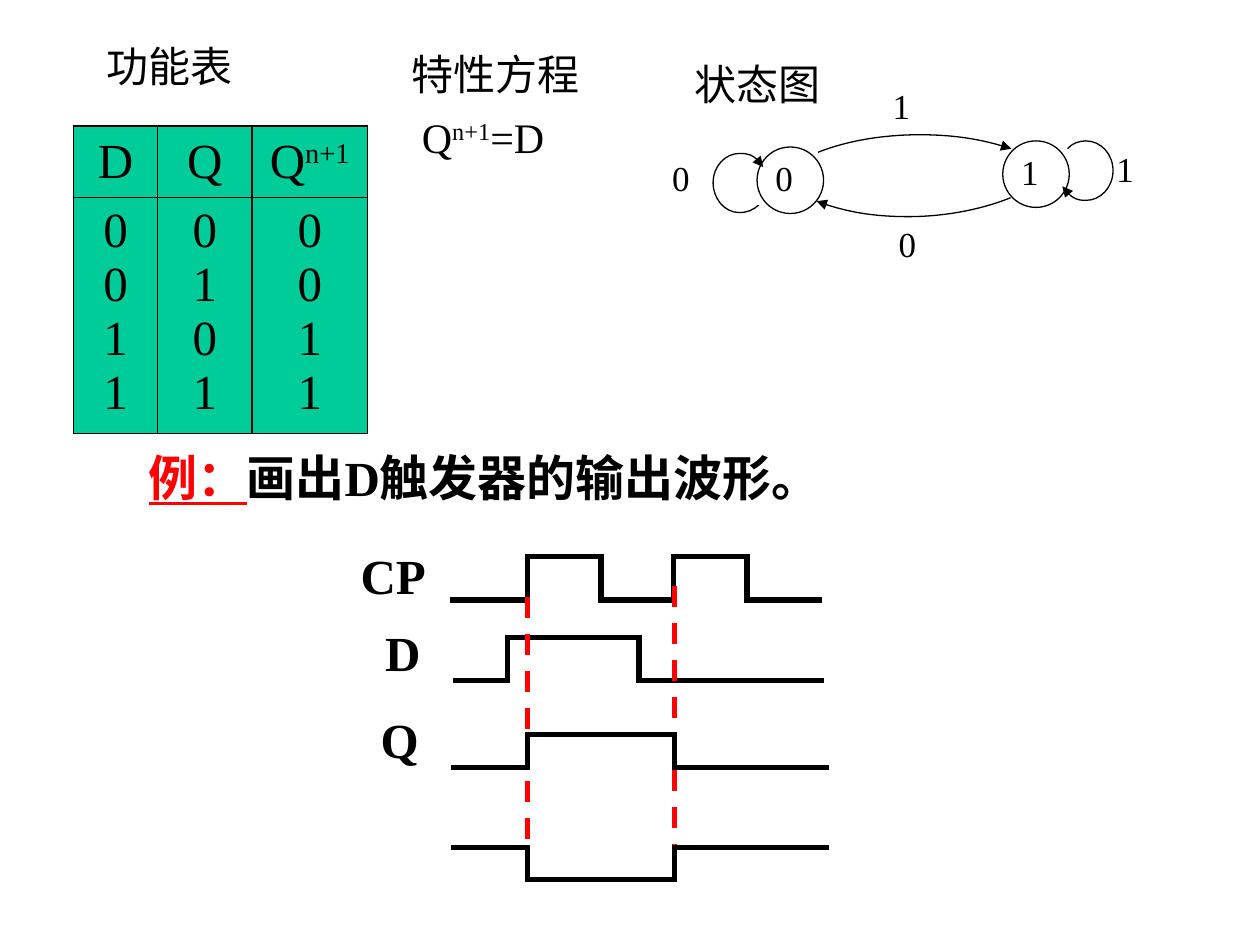
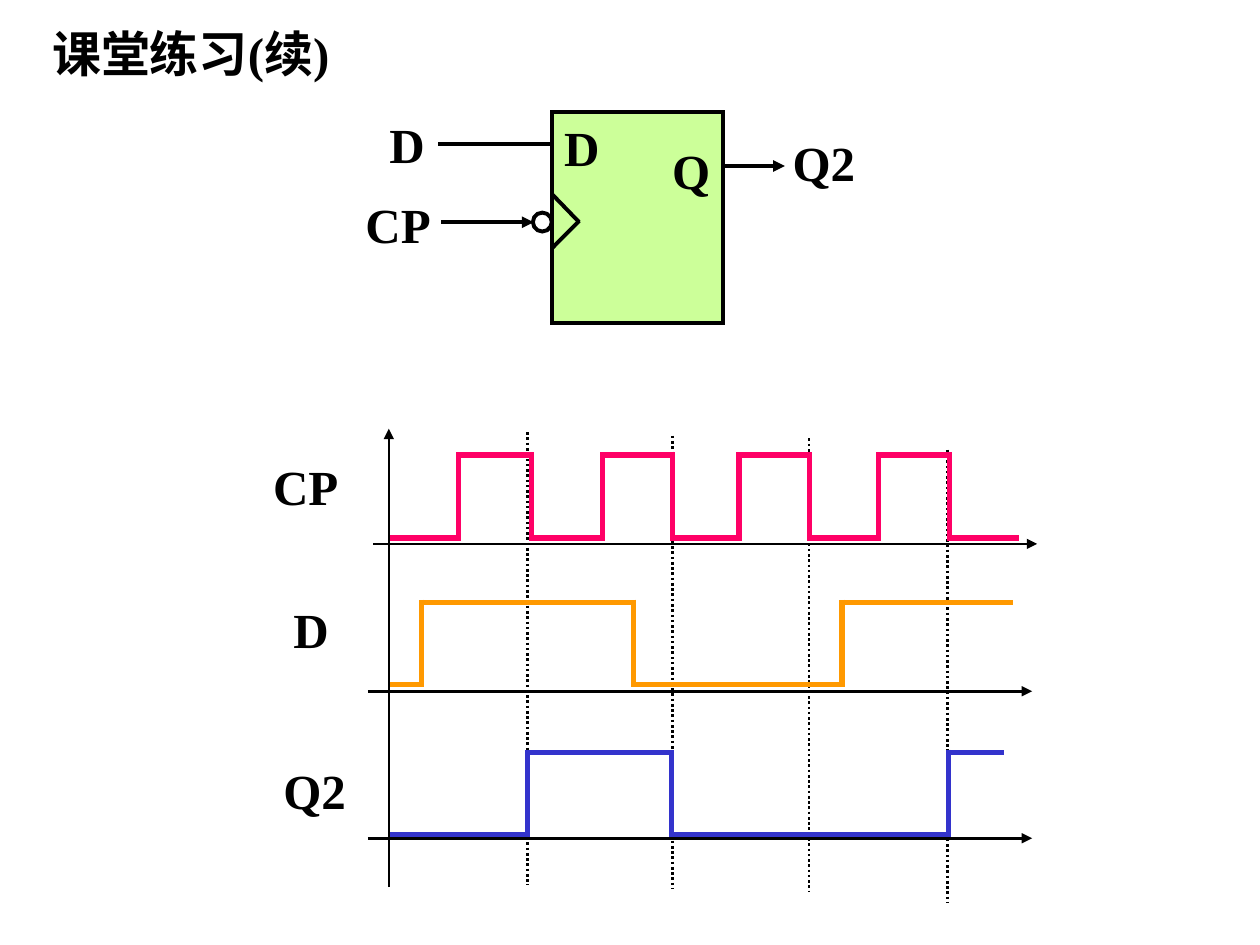
"""Builds two slides on the D flip-flop: its function and its waveforms."""
from dataclasses import dataclass

from lxml import etree
from pptx import Presentation
from pptx.dml.color import RGBColor
from pptx.enum.dml import MSO_LINE
from pptx.enum.shapes import MSO_CONNECTOR, MSO_SHAPE
from pptx.enum.text import MSO_ANCHOR, PP_ALIGN
from pptx.oxml.ns import qn
from pptx.util import Pt

STRAIGHT = MSO_CONNECTOR.STRAIGHT
RECT, OVAL = MSO_SHAPE.RECTANGLE, MSO_SHAPE.OVAL
DASH, DOT = MSO_LINE.DASH, MSO_LINE.ROUND_DOT
CENTER, LEFT = PP_ALIGN.CENTER, PP_ALIGN.LEFT
TOP, MIDDLE = MSO_ANCHOR.TOP, MSO_ANCHOR.MIDDLE


@dataclass(frozen=True)
class Theme:
    font: str = "Times New Roman"
    black: str = "000000"
    white: str = "FFFFFF"
    red: str = "FF0000"
    teal: str = "00CC99"
    lime: str = "CCFF99"
    pink: str = "FF0066"
    orange: str = "FF9900"
    blue: str = "3333CC"
    big: int = 28
    medium: int = 24
    small: int = 20
    wave: float = 3
    block: float = 2.25
    axis: float = 1.5
    border: float = 1
    thin: float = 0.75


T = Theme()

HEADINGS = [
    (54, 19.5, 114, [("功能表", {})]),
    (228, 24, 162, [("特性方程", {})]),
    (234, 60, 126, [("Q", {}), ("n+1", {"sup": True}), ("=D", {})]),
    (390, 30, 156, [("状态图", {})]),
]
EXAMPLE = [("例：", {"color": T.red, "underline": True}),
           ("画出D触发器的输出波形。", {})]

TABLE_AT = (42, 72)
COLUMN_WIDTHS = [48, 54, 66]
ROW_HEIGHTS = [41, 134.7]
TABLE_HEAD = [[("D", {})], [("Q", {})], [("Q", {}), ("n+1", {"sup": True})]]
TABLE_COLUMNS = ["0011", "0101", "0011"]

STATES = [("0", 432.6, 84), ("1", 573, 80.5)]
STATE_SIZE = 38
STATE_LABELS = [("1", (638, 84, 16.5, 29)), ("0", (384, 89.5, 18, 26.5)),
                ("0", (513.5, 127.3, 21.5, 25)), ("1", (510, 48, 24, 23))]
TRANSITIONS = [
    [(577.5, 113), (561.5, 119.5), (540.5, 123.8), (519, 123.8),
     (500.5, 123.8), (482.5, 121), (466.6, 115)],
    [(467.5, 87), (484, 80.5), (504.5, 77), (525.5, 77),
     (544.5, 77), (563, 80), (578, 85)],
    [(610, 85), (612.5, 82), (616.5, 80.5), (620.5, 80.5),
     (629, 80.5), (636, 88), (636, 97.5), (636, 107), (629, 114.5),
     (620.5, 114.5), (615, 114.5), (610, 111.5), (607, 106.5)],
    [(433.5, 117.3), (430.5, 120), (427, 121.5), (422.5, 121.5),
     (414, 121.5), (407.5, 113.5), (407.5, 104.5), (407.5, 95),
     (414.5, 87.7), (422.5, 87.7), (428.5, 87.7), (433.5, 90.5), (436.2, 95.5)],
]

EXAMPLE_LABELS = [("CP", 199, 308, 58), ("D", 213, 352, 40), ("Q", 210.4, 402, 44)]
EXAMPLE_INPUTS = [
    ([257, 301.5, 343.5, 385, 426.8, 469.5], 342.8, 318.2),
    ([258.8, 290, 365.2, 471], 389, 364.5),
]
EXAMPLE_OUTPUTS = [
    ([258, 301.6, 385.5, 474], 438.5, 419.7),
    ([258, 301.6, 385.5, 474], 484.2, 502.6),
]
CLOCK_EDGES = [(301.6, 341.3, 499.5), (385.5, 335, 494)]

PRACTICE_TITLE = "课堂练习(续)"
BLOCK = (315.4, 64, 97.9, 120.4)
BUBBLE = (304.5, 121.5, 10.8, 10.8)
PINS = [
    ((250.5, 82.2), (315.5, 82.2), False),
    ((252, 127), (305, 127), True),
    ((413.5, 94.9), (448.5, 94.9), True),
    ((315.5, 111), (331, 127), False),
    ((331, 126.2), (315.5, 141.8), False),
]
PRACTICE_LABELS = [
    ("Q2", 445.8, 72, 57), ("D", 315.3, 63.5, 40), ("Q", 377, 77, 40),
    ("D", 215.4, 62.2, 41), ("CP", 201.8, 107.7, 56),
    ("CP", 149, 257.2, 56), ("D", 160.5, 339, 48), ("Q2", 154.8, 431, 54),
]
SAMPLE_TIMES = [(301.5, 247), (384.2, 249), (462.3, 250.5), (541.5, 257)]
SAMPLE_HEIGHT = 259
TIME_AXES = [(213.2, 310.8), (210.3, 395), (210.3, 479)]
AXIS_LENGTH = 379.5
LEVEL_AXIS = ((222.2, 507), (222.2, 245))
PRACTICE_WAVES = [
    ([223, 262, 303.6, 344.4, 384.2, 422.3, 462.7, 502.2, 542.5, 582.5],
     307.5, 260, T.pink),
    ([223, 240.8, 362.2, 481.2, 579], 391.2, 344.2, T.orange),
    ([223, 301.5, 383.8, 542, 574], 476.8, 430, T.blue),
]


def rgb(value):
    return RGBColor.from_string(value)


def add_runs(p, runs, size, bold=False):
    for words, style in runs:
        r = p.add_run()
        r.text = words
        r.font.name = T.font
        r.font.size = Pt(size)
        r.font.bold = bold
        r.font.underline = style.get("underline", False)
        r.font.color.rgb = rgb(style.get("color", T.black))
        if style.get("sup"):
            r.font._element.set("baseline", "30000")


def fill_frame(tf, runs, size, bold=False, align=LEFT, anchor=TOP, margins=(7.2, 3.6)):
    tf.word_wrap = True
    tf.vertical_anchor = anchor
    tf.margin_left = tf.margin_right = Pt(margins[0])
    tf.margin_top = tf.margin_bottom = Pt(margins[1])
    p = tf.paragraphs[0]
    p.alignment = align
    add_runs(p, runs, size, bold)


def add_text(s, x, y, w, h, runs, size, **options):
    sp = s.shapes.add_textbox(Pt(x), Pt(y), Pt(w), Pt(h))
    fill_frame(sp.text_frame, runs, size, **options)


def add_bold_labels(s, labels):
    for words, x, y, w in labels:
        add_text(s, x, y, w, 41, [(words, {})], T.big, bold=True)


def style_line(sp, color, width, dash=None, arrow=False):
    sp.line.color.rgb = rgb(color)
    sp.line.width = Pt(width)
    if dash:
        sp.line.dash_style = dash
    ln = sp._element.spPr.find(qn("a:ln"))
    etree.SubElement(ln, qn("a:miter")).set("lim", "800000")
    if arrow:
        etree.SubElement(ln, qn("a:tailEnd")).set("type", "triangle")


def add_line(s, start, end, color, width, dash=None, arrow=False):
    sp = s.shapes.add_connector(STRAIGHT, *map(Pt, start + end))
    style_line(sp, color, width, dash, arrow)
    etree.SubElement(sp._element.spPr, qn("a:effectLst"))


def add_shape(s, kind, box, fill, width=None):
    sp = s.shapes.add_shape(kind, *map(Pt, box))
    sp.shadow.inherit = False
    sp.fill.solid()
    sp.fill.fore_color.rgb = rgb(fill)
    if width:
        style_line(sp, T.black, width)
    else:
        sp.line.fill.background()
    return sp


def add_wave(s, times, level, other, color=T.black):
    half = T.wave / 2
    for i, (left, right) in enumerate(zip(times, times[1:])):
        if i:
            add_line(s, (left, min(level, other) - half),
                     (left, max(level, other) + half), color, T.wave)
            level, other = other, level
        add_line(s, (left, level), (right, level), color, T.wave)


def add_curve(s, knots):
    points = [(Pt(x), Pt(y)) for x, y in knots]
    builder = s.shapes.build_freeform(*points[0])
    builder.add_line_segments(points[1:], close=False)
    sp = builder.convert_to_shape()
    outline = next(sp._element.iter(qn("a:path")))
    segments = outline.findall(qn("a:lnTo"))
    for i in range(0, len(segments), 3):
        bezier = etree.SubElement(outline, qn("a:cubicBezTo"))
        for segment in segments[i:i + 3]:
            bezier.append(segment[0])
            outline.remove(segment)
    sp.shadow.inherit = False
    sp.fill.background()
    style_line(sp, T.black, T.thin, arrow=True)


def style_cell(cell):
    tcpr = cell._tc.get_or_add_tcPr()
    for side in ("lnL", "lnR", "lnT", "lnB"):
        ln = etree.SubElement(tcpr, qn(f"a:{side}"), w=str(Pt(T.border)))
        solid = etree.SubElement(ln, qn("a:solidFill"))
        etree.SubElement(solid, qn("a:srgbClr")).set("val", T.black)
    cell.fill.solid()
    cell.fill.fore_color.rgb = rgb(T.teal)
    cell.vertical_anchor = MIDDLE


def add_function_table(s):
    size = (sum(COLUMN_WIDTHS), sum(ROW_HEIGHTS))
    table = s.shapes.add_table(2, 3, *map(Pt, TABLE_AT + size)).table
    table.first_row = table.horz_banding = False
    for row, height in zip(table.rows, ROW_HEIGHTS):
        row.height = Pt(height)
    for c, width in enumerate(COLUMN_WIDTHS):
        table.columns[c].width = Pt(width)
        head, body = table.cell(0, c), table.cell(1, c)
        style_cell(head)
        style_cell(body)
        p = head.text_frame.paragraphs[0]
        p.alignment = CENTER
        add_runs(p, TABLE_HEAD[c], T.big)
        tf = body.text_frame
        for i, digit in enumerate(TABLE_COLUMNS[c]):
            p = tf.add_paragraph() if i else tf.paragraphs[0]
            p.alignment = CENTER
            p.line_spacing = 0.8
            if i:
                p.space_before = Pt(6)
            add_runs(p, [(digit, {})], T.big)


def add_state_diagram(s):
    for name, box in STATE_LABELS:
        sp = add_shape(s, RECT, box, T.white)
        fill_frame(sp.text_frame, [(name, {})], T.small, margins=(0, 0))
    for name, x, y in STATES:
        sp = add_shape(s, OVAL, (x, y, STATE_SIZE, STATE_SIZE), T.white, T.thin)
        fill_frame(sp.text_frame, [(name, {})], T.small, margins=(5, 0))
    for knots in TRANSITIONS:
        add_curve(s, knots)


def build_function_slide(s):
    for x, y, w, runs in HEADINGS:
        add_text(s, x, y, w, 36, runs, T.medium)
    add_function_table(s)
    add_state_diagram(s)
    add_text(s, 78, 252, 548, 41, EXAMPLE, T.big, bold=True)
    add_bold_labels(s, EXAMPLE_LABELS)
    for wave in EXAMPLE_INPUTS:
        add_wave(s, *wave)
    for x, top, bottom in CLOCK_EDGES:
        add_line(s, (x, top), (x, bottom), T.red, T.wave, DASH)
    for wave in EXAMPLE_OUTPUTS:
        add_wave(s, *wave)


def build_practice_slide(s):
    add_text(s, 22, 9.5, 174, 41, [(PRACTICE_TITLE, {})], T.big,
             bold=True, align=CENTER, anchor=MIDDLE)
    add_shape(s, RECT, BLOCK, T.lime, T.block)
    for start, end, arrow in PINS:
        add_line(s, start, end, T.black, T.block, arrow=arrow)
    add_shape(s, OVAL, BUBBLE, T.white, T.block)
    add_bold_labels(s, PRACTICE_LABELS)
    for x, top in SAMPLE_TIMES:
        add_line(s, (x, top), (x, top + SAMPLE_HEIGHT), T.black, T.axis, DOT)
    for x, y in TIME_AXES:
        add_line(s, (x, y), (x + AXIS_LENGTH, y), T.black, T.axis, arrow=True)
    add_line(s, *LEVEL_AXIS, T.black, T.axis, arrow=True)
    for wave in PRACTICE_WAVES:
        add_wave(s, *wave)


def main():
    prs = Presentation()
    prs.slide_width, prs.slide_height = Pt(720), Pt(540)
    for build in (build_function_slide, build_practice_slide):
        build(prs.slides.add_slide(prs.slide_layouts[6]))
    prs.save("out.pptx")


if __name__ == "__main__":
    main()
